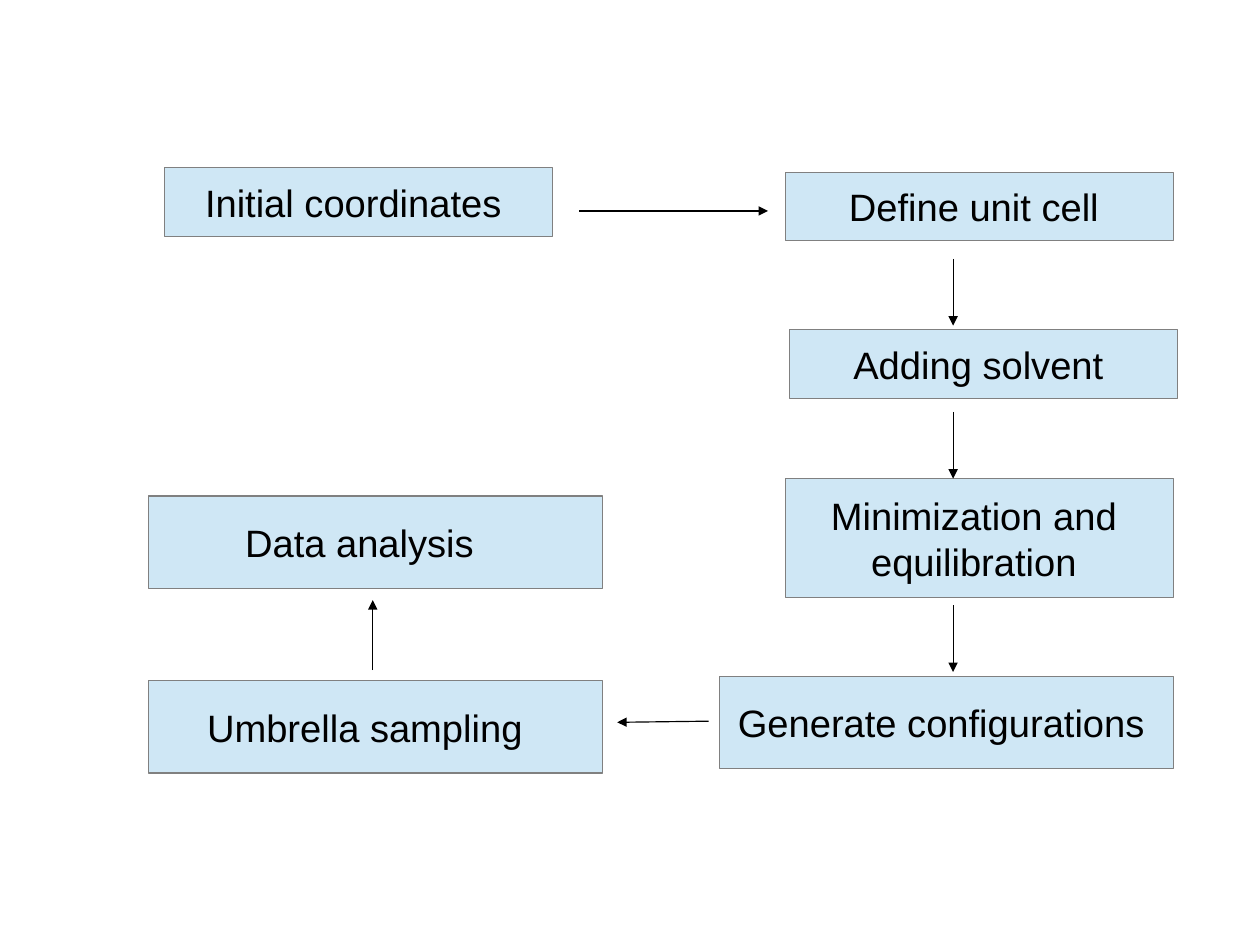
import pptx
import pptx.util
import pptx.dml.color
import pptx.enum.shapes
import pptx.enum.text
from lxml import etree
from pptx.oxml.ns import qn

Pt = pptx.util.Pt
RGB = pptx.dml.color.RGBColor.from_string

# Content: lines of text, left, top, size, extra right inset (points)
PAGE_SIZE = (793.7, 595.28)
SMALL, TALL, WIDE = (244.5, 43.2), (244.5, 74.9), (285.8, 58.1)
STEPS = [
    (["Initial coordinates"], 103.7, 105.8, SMALL, 6.7),
    (["Define unit cell"], 494.6, 108.6, SMALL, 6.7),
    (["Adding solvent"], 497.4, 207.8, SMALL, 6.7),
    (["Minimization and", "equilibration"], 494.6, 301.4, TALL, 6.7),
    (["Generate configurations"], 453.4, 426, WIDE, 6.7),
    (["Umbrella sampling"], 93.6, 428.9, WIDE, 13.3),
    (["Data analysis"], 93.6, 312.5, WIDE, 20),
]

# Arrows between steps: start x, start y, end x, end y
DOWN_X, DOWN_LENGTH = 600.4, 42
DOWN_TOPS = [163.1, 259.5, 381.3]
ARROWS = [(364.8, 132.9, 483.8, 132.9), (446.4, 454.3, 388.8, 455), (234.8, 422.2, 234.8, 378)]
ARROWS += [(DOWN_X, top, DOWN_X, top + DOWN_LENGTH) for top in DOWN_TOPS]

THEME = {
    "font": "Arial", "size": 24, "text": "000000", "fill": "CFE7F5",
    "border": "808080", "arrow": "000000", "line": 0.75,
    "inset_x": 7.2, "inset_y": 3.6,
}


def add_step(page, lines, left, top, size, extra):
    box = page.shapes.add_shape(pptx.enum.shapes.MSO_SHAPE.RECTANGLE,
                                Pt(left), Pt(top), Pt(size[0]), Pt(size[1]))
    box.shadow.inherit = False
    box.fill.solid()
    box.fill.fore_color.rgb = RGB(THEME["fill"])
    box.line.color.rgb = RGB(THEME["border"])
    box.line.width = Pt(THEME["line"])
    frame = box.text_frame
    frame.word_wrap = True
    frame.vertical_anchor = pptx.enum.text.MSO_ANCHOR.MIDDLE
    frame.margin_left = Pt(THEME["inset_x"])
    frame.margin_right = Pt(THEME["inset_x"] + extra)
    frame.margin_top = frame.margin_bottom = Pt(THEME["inset_y"])
    frame.text = "\n".join(lines)
    for para in frame.paragraphs:
        para.alignment = pptx.enum.text.PP_ALIGN.CENTER
        para.font.name = THEME["font"]
        para.font.size = Pt(THEME["size"])
        para.font.color.rgb = RGB(THEME["text"])


def add_arrow(page, ends):
    arrow = page.shapes.add_connector(pptx.enum.shapes.MSO_CONNECTOR.STRAIGHT,
                                      *[Pt(value) for value in ends])
    arrow.line.color.rgb = RGB(THEME["arrow"])
    arrow.line.width = Pt(THEME["line"])
    properties = arrow._element.spPr
    etree.SubElement(properties.find(qn("a:ln")), qn("a:tailEnd"), type="triangle")
    etree.SubElement(properties, qn("a:effectLst"))


def main():
    deck = pptx.Presentation()
    deck.slide_width, deck.slide_height = [Pt(length) for length in PAGE_SIZE]
    page = deck.slides.add_slide(deck.slide_layouts[6])

    # Workflow boxes, then the arrows joining them
    for step in STEPS:
        add_step(page, *step)
    for ends in ARROWS:
        add_arrow(page, ends)

    deck.save("out.pptx")


if __name__ == "__main__":
    main()
